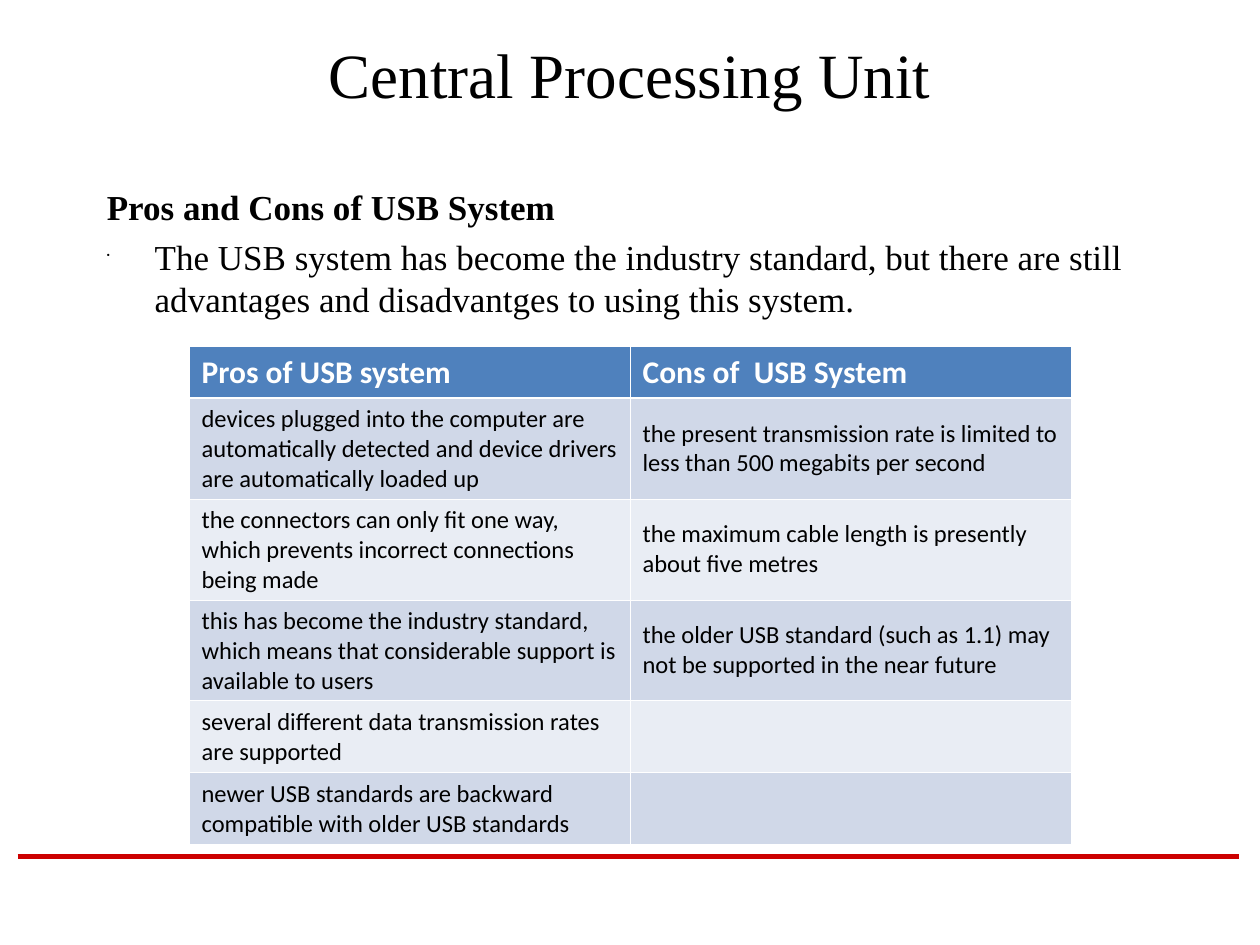
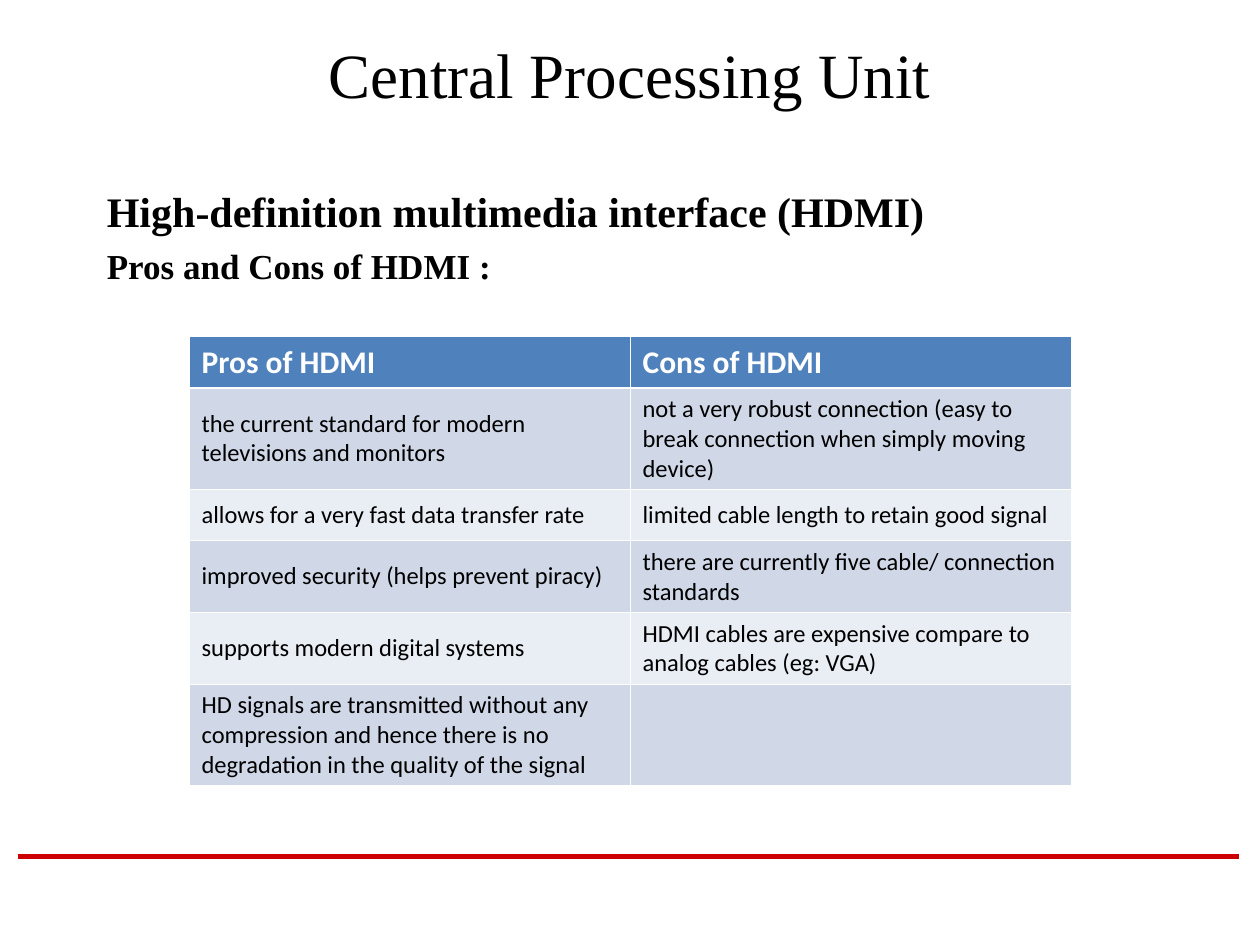
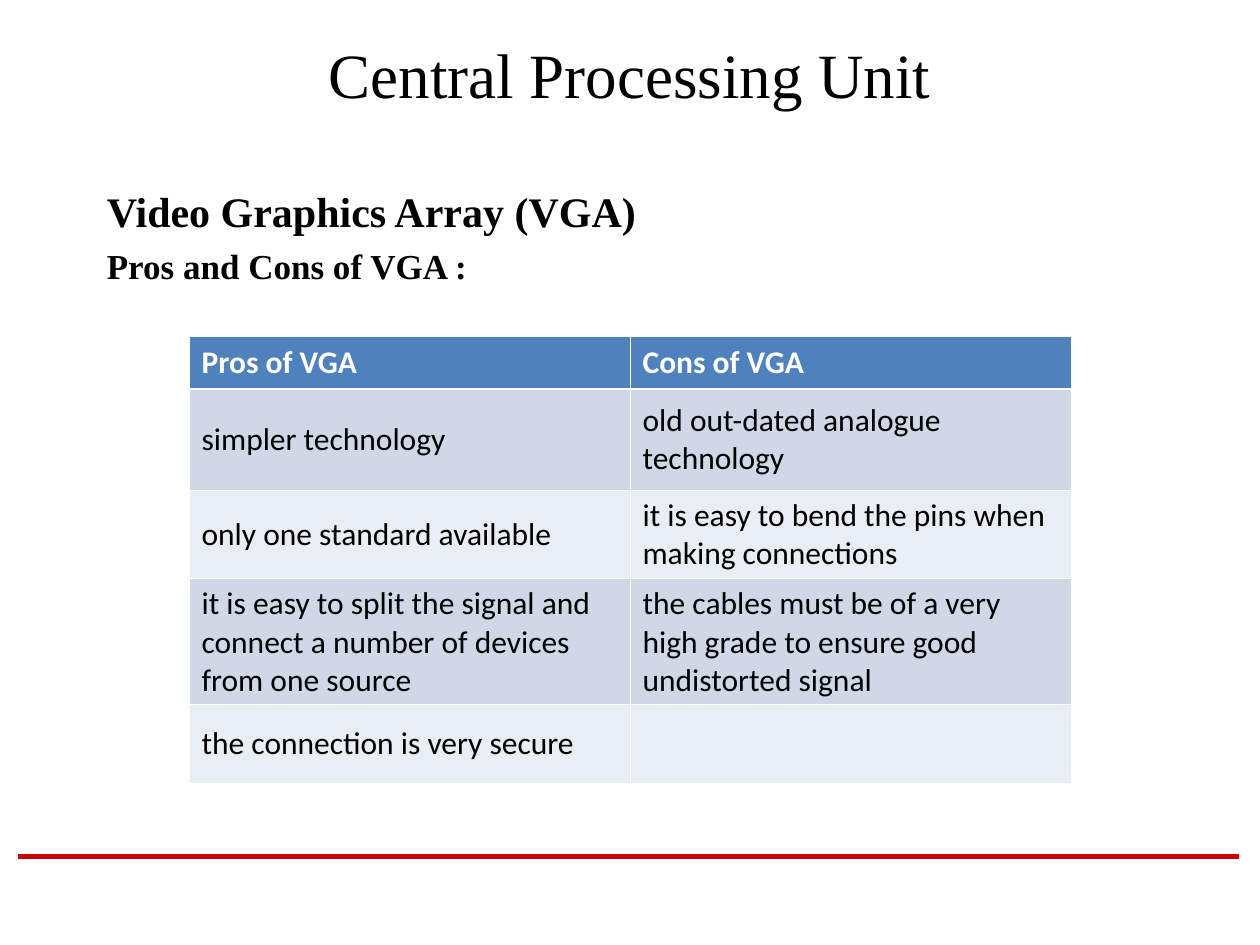
"""Build three slides on the pros and cons of computer ports."""
from dataclasses import dataclass

from lxml import etree
from pptx import Presentation
from pptx.dml.color import RGBColor
from pptx.enum.shapes import MSO_CONNECTOR
from pptx.enum.text import MSO_ANCHOR, PP_ALIGN
from pptx.oxml.ns import qn
from pptx.util import Emu, Pt

EMU_PER_PX = 9144
STRAIGHT = MSO_CONNECTOR.STRAIGHT
MIDDLE, TOP = MSO_ANCHOR.MIDDLE, MSO_ANCHOR.TOP
LEFT, CENTER = PP_ALIGN.LEFT, PP_ALIGN.CENTER

SERIF, SANS = "Times New Roman", "Calibri"
BLACK, WHITE, RED = "000000", "FFFFFF", "CC0000"
HEADER_FILL, BAND_FILLS = "4F81BD", ("D0D8E8", "E9EDF4")
THIN, THICK = 0.45, 1.47
TITLE = "Central Processing Unit"
HANGING = 38
TABLE_LEFT, COLUMN_WIDTH = 150, 350


@dataclass(frozen=True)
class BodyLine:
    """A paragraph above the table."""
    text: str
    size: int
    bold: bool = True
    bullet: bool = False


@dataclass(frozen=True)
class Row:
    """A table row with its height in px."""
    height: int
    pro: str
    con: str = ""


@dataclass(frozen=True)
class PortSlide:
    """The content of one slide."""
    lines: tuple[BodyLine, ...]
    table_top: int
    cell_size: int
    rows: tuple[Row, ...]


PORT_SLIDES = (
    PortSlide(
        (BodyLine("Pros and Cons of USB System", 20),
         BodyLine("The USB system has become the industry standard, but there are still "
                  "advantages and disadvantges to using this system.", 20, False, True)),
        275, 14,
        (Row(41, "Pros of USB system", "Cons of  USB System"),
         Row(80, "devices plugged into the computer are automatically detected and device "
                 "drivers are automatically loaded up",
             "the present transmission rate is limited to less than 500 megabits per second"),
         Row(80, "the connectors can only fit one way, which prevents incorrect connections "
                 "being made",
             "the maximum cable length is presently about five metres"),
         Row(80, "this has become the industry standard, which means that considerable "
                 "support is available to users",
             "the older USB standard (such as 1.1) may not be supported in the near future"),
         Row(57, "several different data transmission rates are supported"),
         Row(57, "newer USB standards are backward compatible with older USB standards"))),
    PortSlide(
        (BodyLine("High-definition multimedia interface (HDMI)", 24),
         BodyLine("Pros and Cons of HDMI :", 20)),
        267, 14,
        (Row(41, "Pros of HDMI", "Cons of HDMI"),
         Row(80, "the current standard for modern televisions and monitors",
             "not a very robust connection (easy to break connection when simply moving "
             "device)"),
         Row(41, "allows for a very fast data transfer rate",
             "limited cable length to retain good signal"),
         Row(57, "improved security (helps prevent piracy)",
             "there are currently five cable/ connection standards"),
         Row(57, "supports modern digital systems",
             "HDMI cables are expensive compare to analog cables (eg: VGA)"),
         Row(80, "HD signals are transmitted without any compression and hence there is no "
                 "degradation in the quality of the signal"))),
    PortSlide(
        (BodyLine("Video Graphics Array (VGA)", 24),
         BodyLine("Pros and Cons of VGA :", 20)),
        267, 18,
        (Row(42, "Pros of VGA", "Cons of VGA"),
         Row(80, "simpler technology", "old out-dated analogue technology"),
         Row(70, "only one standard available",
             "it is easy to bend the pins when making connections"),
         Row(100, "it is easy to split the signal and connect a number of devices from one "
                  "source",
             "the cables must be of a very high grade to ensure good undistorted signal"),
         Row(63, "the connection is very secure"))),
)


def px(length: int) -> Emu:
    """Turn px into EMU."""
    return Emu(length * EMU_PER_PX)


def color(value: str) -> RGBColor:
    """Turn a hex string into a colour."""
    return RGBColor.from_string(value)


def write_text(text_frame, text: str, *, size: int, font: str = SERIF, fill: str = BLACK,
               bold: bool = False, align=LEFT, hanging: int = 0,
               bullet: bool = False) -> None:
    """Write a formatted paragraph after any text already in the frame."""
    paragraph = text_frame.paragraphs[0]
    if paragraph.runs:
        paragraph = text_frame.add_paragraph()
        paragraph.space_before = Pt(size / 4)
    paragraph.alignment = align
    if hanging:
        properties = paragraph._p.get_or_add_pPr()
        properties.set("marL", str(px(hanging)))
        properties.set("indent", str(px(-hanging)))
    if bullet:
        bullet_color = etree.SubElement(properties, qn("a:buClr"))
        etree.SubElement(bullet_color, qn("a:srgbClr"), val=fill)
        etree.SubElement(properties, qn("a:buSzPct"), val="25000")
        etree.SubElement(properties, qn("a:buChar"), char="•")
    run = paragraph.add_run()
    run.text = text
    run.font.name, run.font.size, run.font.bold = font, Pt(size), bold
    run.font.color.rgb = color(fill)


def add_text_frame(slide, left: int, top: int, width: int, height: int, anchor=TOP):
    """Add a wrapping text box and return its text frame."""
    shape = slide.shapes.add_textbox(px(left), px(top), px(width), px(height))
    shape.text_frame.word_wrap = True
    shape.text_frame.vertical_anchor = anchor
    return shape.text_frame


def add_footer_line(slide) -> None:
    """Draw the red line at the foot of the slide."""
    connector = slide.shapes.add_connector(STRAIGHT, px(14), px(680), px(983), px(680))
    connector.line.color.rgb = color(RED)
    connector.line.width = Pt(3)
    etree.SubElement(connector._element.spPr, qn("a:effectLst"))


def set_borders(cell, top: float, bottom: float) -> None:
    """Give a cell white borders with the given top and bottom widths."""
    properties = cell._tc.get_or_add_tcPr()
    sides = {"a:lnL": THIN, "a:lnR": THIN, "a:lnT": top, "a:lnB": bottom}
    for index, (tag, width) in enumerate(sides.items()):
        border = etree.Element(qn(tag), w=str(Pt(width)))
        solid = etree.SubElement(border, qn("a:solidFill"))
        etree.SubElement(solid, qn("a:srgbClr"), val=WHITE)
        properties.insert(index, border)


def add_pros_and_cons(slide, content: PortSlide) -> None:
    """Add the two-column table with its header and banded rows."""
    rows = content.rows
    frame = slide.shapes.add_table(
        len(rows), 2, px(TABLE_LEFT), px(content.table_top), px(2 * COLUMN_WIDTH),
        px(sum(row.height for row in rows)))
    table = frame.table
    for column in table.columns:
        column.width = px(COLUMN_WIDTH)
    for index, row in enumerate(rows):
        table.rows[index].height = px(row.height)
        header = index == 0
        for column_index, text in enumerate((row.pro, row.con)):
            cell = table.cell(index, column_index)
            cell.vertical_anchor = MIDDLE
            cell.fill.solid()
            cell.fill.fore_color.rgb = color(
                HEADER_FILL if header else BAND_FILLS[(index - 1) % 2])
            set_borders(cell, THICK if index == 1 else THIN, THICK if header else THIN)
            if text:
                write_text(cell.text_frame, text, font=SANS, bold=header,
                           size=18 if header else content.cell_size,
                           fill=WHITE if header else BLACK)


def add_port_slide(presentation, content: PortSlide) -> None:
    """Add one complete slide."""
    slide = presentation.slides.add_slide(presentation.slide_layouts[6])
    add_footer_line(slide)
    title = add_text_frame(slide, 75, 17, 850, 83, MIDDLE)
    write_text(title, TITLE, size=36, align=CENTER)
    body = add_text_frame(slide, 75, 142, 883, 533)
    for line in content.lines:
        write_text(body, line.text, size=line.size, bold=line.bold, hanging=HANGING,
                   bullet=line.bullet)
    add_pros_and_cons(slide, content)


def main() -> None:
    """Build and save the presentation."""
    presentation = Presentation()
    presentation.slide_width, presentation.slide_height = px(1000), px(750)
    for content in PORT_SLIDES:
        add_port_slide(presentation, content)
    presentation.save("out.pptx")


if __name__ == "__main__":
    main()
